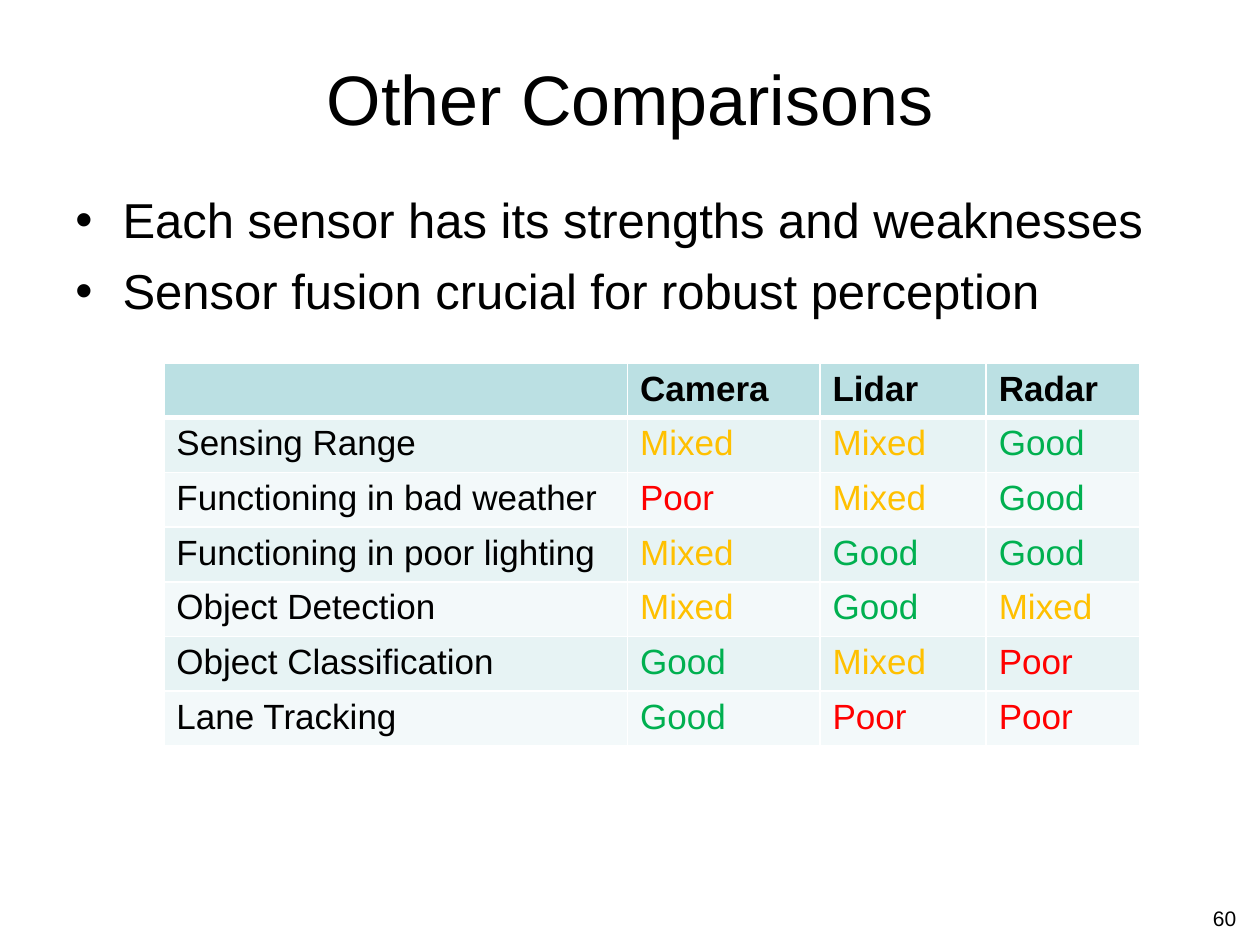
from lxml.etree import SubElement
from pptx import Presentation
from pptx.dml.color import RGBColor as RGB
from pptx.enum.text import MSO_ANCHOR as ANCHOR, PP_ALIGN as ALIGN
from pptx.oxml.ns import qn
from pptx.util import Pt

TITLE = "Other Comparisons"
BULLETS = [
    "Each sensor has its strengths and weaknesses",
    "Sensor fusion crucial for robust perception",
]
RATINGS = [
    ("", "Camera", "Lidar", "Radar"),
    ("Sensing Range", "Mixed", "Mixed", "Good"),
    ("Functioning in bad weather", "Poor", "Mixed", "Good"),
    ("Functioning in poor lighting", "Mixed", "Good", "Good"),
    ("Object Detection", "Mixed", "Good", "Mixed"),
    ("Object Classification", "Good", "Mixed", "Poor"),
    ("Lane Tracking", "Good", "Poor", "Poor"),
]
PAGE = "60"

THEME = {
    "font": "Arial",
    "text": "000000",
    "ratings": {"Good": "00B050", "Mixed": "FFC000", "Poor": "FF0000"},
    "header": "BBE0E3",
    "bands": ("F3F9FA", "E7F3F4"),
    "border": "FFFFFF",
    "title": 40,
    "body": 28,
    "cell": 20,
    "page": 12,
}
COLUMNS = (265, 110, 95, 88)
ROW = 29.5
INDENT = 27


def style(p, size, color=THEME["text"], bold=False):
    for r in p.runs:
        r.font.name = THEME["font"]
        r.font.size = Pt(size)
        r.font.bold = bold
        r.font.color.rgb = RGB.from_string(color)


def add_text(s, box, lines, size, align=ALIGN.LEFT, anchor=ANCHOR.TOP):
    tf = s.shapes.add_textbox(*map(Pt, box)).text_frame
    tf.word_wrap = True
    tf.vertical_anchor = anchor
    tf.text = "\n".join(lines)
    for p in tf.paragraphs:
        p.alignment = align
        style(p, size)
    return tf


def add_bullets(tf):
    for i, p in enumerate(tf.paragraphs):
        pPr = p._p.get_or_add_pPr()
        pPr.set("marL", str(Pt(INDENT)))
        pPr.set("indent", str(-Pt(INDENT)))
        SubElement(pPr, qn("a:buFont"), typeface=THEME["font"])
        SubElement(pPr, qn("a:buChar"), char="•")
        if i:
            p.space_before = Pt(7)


def set_borders(cell, widths):
    tcPr = cell._tc.get_or_add_tcPr()
    for side, width in widths.items():
        line = SubElement(tcPr, qn(f"a:ln{side}"), w=str(Pt(width)))
        fill = SubElement(line, qn("a:solidFill"))
        SubElement(fill, qn("a:srgbClr"), val=THEME["border"])


def add_ratings(s, left, top):
    size = Pt(sum(COLUMNS)), Pt(ROW * len(RATINGS))
    table = s.shapes.add_table(
        len(RATINGS), len(COLUMNS), Pt(left), Pt(top), *size
    ).table
    for column, width in zip(table.columns, COLUMNS):
        column.width = Pt(width)
    for i, values in enumerate(RATINGS):
        table.rows[i].height = Pt(ROW)
        header = i == 0
        widths = {"L": 1, "R": 1, "T": 3 if i == 1 else 1, "B": 3 if header else 1}
        for j, value in enumerate(values):
            cell = table.cell(i, j)
            cell.text = value
            color = THEME["ratings"].get(value, THEME["text"])
            style(cell.text_frame.paragraphs[0], THEME["cell"], color, header)
            set_borders(cell, widths)
            cell.fill.solid()
            fill = THEME["header"] if header else THEME["bands"][i % 2]
            cell.fill.fore_color.rgb = RGB.from_string(fill)


def main():
    prs = Presentation()
    prs.slide_width, prs.slide_height = Pt(720), Pt(540)
    s = prs.slides.add_slide(prs.slide_layouts[6])
    add_text(s, (36, 21.6, 648, 68.4), [TITLE], THEME["title"],
             ALIGN.CENTER, ANCHOR.MIDDLE)
    add_ratings(s, 93.6, 207.5)
    add_text(s, (546, 514, 167.5, 19.5), [PAGE], THEME["page"], ALIGN.RIGHT)
    tf = add_text(s, (36, 102, 648, 134), BULLETS, THEME["body"])
    tf.margin_top = Pt(6.5)
    add_bullets(tf)
    prs.save("out.pptx")


if __name__ == "__main__":
    main()
